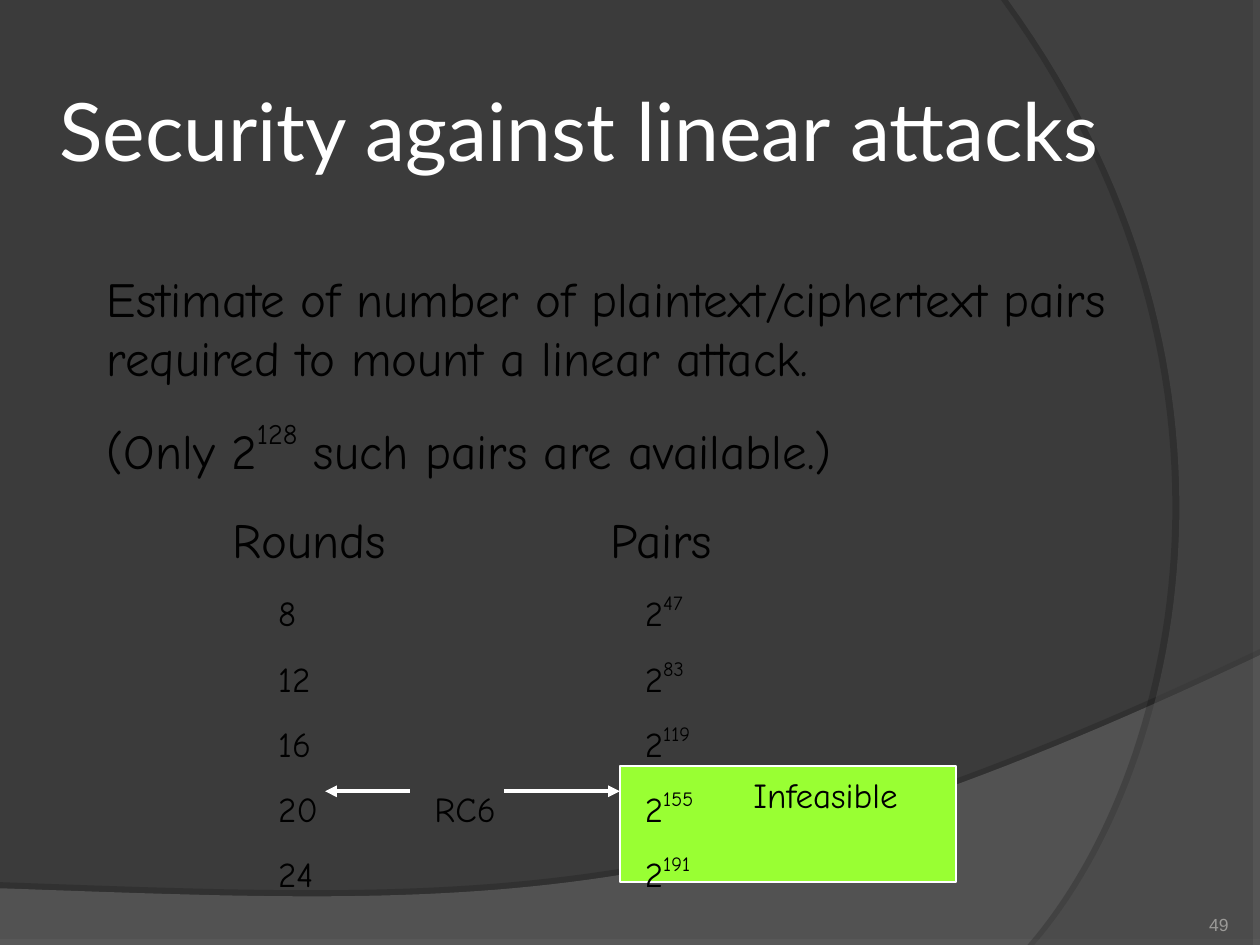
"""Build the slide on security against linear attacks."""
from lxml import etree
from pptx import Presentation
from pptx.dml.color import RGBColor
from pptx.enum.shapes import MSO_CONNECTOR, MSO_SHAPE
from pptx.enum.text import MSO_ANCHOR, PP_ALIGN
from pptx.oxml.ns import qn
from pptx.util import Inches, Pt

STRAIGHT, RECTANGLE = MSO_CONNECTOR.STRAIGHT, MSO_SHAPE.RECTANGLE
TOP, MIDDLE, BOTTOM = MSO_ANCHOR.TOP, MSO_ANCHOR.MIDDLE, MSO_ANCHOR.BOTTOM
LEFT, RIGHT = PP_ALIGN.LEFT, PP_ALIGN.RIGHT
BACKGROUND = RGBColor(0x3B, 0x3B, 0x3B)
WAVE = RGBColor(0x7C, 0x7C, 0x7C)
ARC = RGBColor(0x59, 0x59, 0x59)
GREEN = RGBColor(0x99, 0xFF, 0x33)
WHITE = RGBColor(0xFF, 0xFF, 0xFF)
BLACK = RGBColor(0, 0, 0)
GREY = RGBColor(0x9B, 0x9A, 0x98)
BODY_FONT = "Comic Neue"

TITLE = "Security against linear attacks"
INTRO = [
    [("Estimate of number of plaintext/ciphertext pairs "
      "required to mount a linear attack.", 0)],
    [("(Only 2", 0), ("128", 50), (" such pairs are available.)", 0)],
]
HEADINGS = ("Rounds", "Pairs")
ROWS = [("8", "47"), ("12", "83"), ("16", "119"), ("20", "155"), ("24", "191")]
CIPHER, CIPHER_ROUNDS = "RC6", "20"
VERDICT = "Infeasible"
PAGE = "49"

HEADING_TABS = (1, 4)
ROUNDS_TAB, CIPHER_TAB, PAIRS_TAB = 1.36, 2.6, 4.27
ARROW_Y = 6.28
ARROWS = [(3.25, 2.58), (4, 4.92)]
WAVE_OUTLINE = [(10, 5.2), [(5.59, 7.29), (3.91, 7.19), (0, 7.05)], (0, 7.5), (10, 7.5)]
ARC_OUTLINE = [(8.21, 7.5), [(9.35, 6.19), (10.18, 3), (8, 0)], (10, 0), (10, 7.5)]
CURVE_STEPS = 60


def add_xml(parent, tag, **attributes):
    return etree.SubElement(parent, qn(tag), {k: str(v) for k, v in attributes.items()})


def bezier(start, controls):
    points = [start, *controls]
    for step in range(1, CURVE_STEPS + 1):
        t = step / CURVE_STEPS
        weights = ((1 - t) ** 3, 3 * t * (1 - t) ** 2, 3 * t * t * (1 - t), t ** 3)
        yield tuple(sum(w * p[axis] for w, p in zip(weights, points)) for axis in (0, 1))


def add_swoosh(slide, outline, color, opacity, shadow_opacity, distance, direction):
    start, curve, *corners = outline
    vertices = [*bezier(start, curve), *corners]
    builder = slide.shapes.build_freeform(Inches(start[0]), Inches(start[1]))
    builder.add_line_segments([(Inches(x), Inches(y)) for x, y in vertices], close=True)
    swoosh = builder.convert_to_shape()
    swoosh.fill.solid()
    swoosh.fill.fore_color.rgb = color
    swoosh.line.fill.background()
    swoosh.shadow.inherit = False
    properties = swoosh._element.spPr
    add_xml(properties.find(".//" + qn("a:srgbClr")), "a:alpha", val=opacity * 1000)
    shadow = add_xml(properties.find(qn("a:effectLst")), "a:outerShdw", blurRad=0,
                     dist=Pt(distance), dir=direction * 60000, algn="ctr", rotWithShape=0)
    shadow_color = add_xml(shadow, "a:srgbClr", val=BLACK)
    add_xml(shadow_color, "a:alpha", val=shadow_opacity * 1000)


def add_frame(slide, box, margins=(0.1, 0.05), anchor=TOP):
    frame = slide.shapes.add_textbox(*map(Inches, box)).text_frame
    frame.word_wrap = True
    frame.vertical_anchor = anchor
    frame.margin_left = frame.margin_right = Inches(margins[0])
    frame.margin_top = frame.margin_bottom = Inches(margins[1])
    return frame


def write(paragraph, runs, size, font=BODY_FONT, color=BLACK, before=0, tabs=(), align=LEFT):
    paragraph.alignment = align
    paragraph.space_before = Pt(before)
    if tabs:
        stops = add_xml(paragraph._p.get_or_add_pPr(), "a:tabLst")
        for tab in tabs:
            add_xml(stops, "a:tab", pos=Inches(tab), algn="l")
    paragraph.font.size = Pt(size)
    paragraph.font.name = font
    paragraph.font.color.rgb = color
    for text, raised in runs:
        run = paragraph.add_run()
        run.text = text
        if raised:
            run._r.get_or_add_rPr().set("baseline", str(raised * 1000))


def add_estimates(slide):
    frame = add_frame(slide, (0.75, 2.08, 8.67, 5.08))
    write(frame.paragraphs[0], INTRO[0], 28)
    write(frame.add_paragraph(), INTRO[1], 28, before=17.5)
    headings = "".join("\t" + heading for heading in HEADINGS)
    write(frame.add_paragraph(), [(headings, 0)], 28, before=17.5, tabs=HEADING_TABS)
    for rounds, exponent in ROWS:
        cells, tabs = [rounds, "2"], [ROUNDS_TAB, PAIRS_TAB]
        if rounds == CIPHER_ROUNDS:
            cells.insert(1, CIPHER)
            tabs.insert(1, CIPHER_TAB)
        row = "".join("\t" + cell for cell in cells)
        write(frame.add_paragraph(), [(row, 0), (exponent, 46)], 20, before=12.5, tabs=tabs)


def add_arrow(slide, start, end):
    arrow = slide.shapes.add_connector(
        STRAIGHT, Inches(start), Inches(ARROW_Y), Inches(end), Inches(ARROW_Y))
    arrow.line.color.rgb = WHITE
    arrow.line.width = Pt(2.25)
    add_xml(arrow.line._get_or_add_ln(), "a:tailEnd", type="triangle")
    add_xml(arrow._element.spPr, "a:effectLst")


def main():
    presentation = Presentation()
    presentation.slide_width, presentation.slide_height = Inches(10), Inches(7.5)
    slide = presentation.slides.add_slide(presentation.slide_layouts[6])
    slide.background.fill.solid()
    slide.background.fill.fore_color.rgb = BACKGROUND
    add_swoosh(slide, WAVE_OUTLINE, WAVE, 45, 35, 3.5, 270)
    add_swoosh(slide, ARC_OUTLINE, ARC, 40, 45, 4, 180)

    highlight = slide.shapes.add_shape(RECTANGLE, *map(Inches, (4.92, 6.08, 2.67, 0.92)))
    highlight.fill.solid()
    highlight.fill.fore_color.rgb = GREEN
    highlight.line.color.rgb = WHITE
    highlight.line.width = Pt(1)
    highlight.shadow.inherit = False

    add_estimates(slide)
    title = add_frame(slide, (0.42, 0.42, 9.58, 1.21), (0.05, 0.05), MIDDLE)
    write(title.paragraphs[0], [(TITLE, 0)], 46, "Lato", WHITE)
    verdict = add_frame(slide, (5.88, 6.09, 2.25, 0.44))
    write(verdict.paragraphs[0], [(VERDICT, 0)], 20)
    for start, end in ARROWS:
        add_arrow(slide, start, end)
    page = add_frame(slide, (8.92, 7.02, 0.83, 0.4), (0, 0), BOTTOM)
    write(page.paragraphs[0], [(PAGE, 0)], 10, "Arial", GREY, align=RIGHT)
    presentation.save("out.pptx")


if __name__ == "__main__":
    main()
